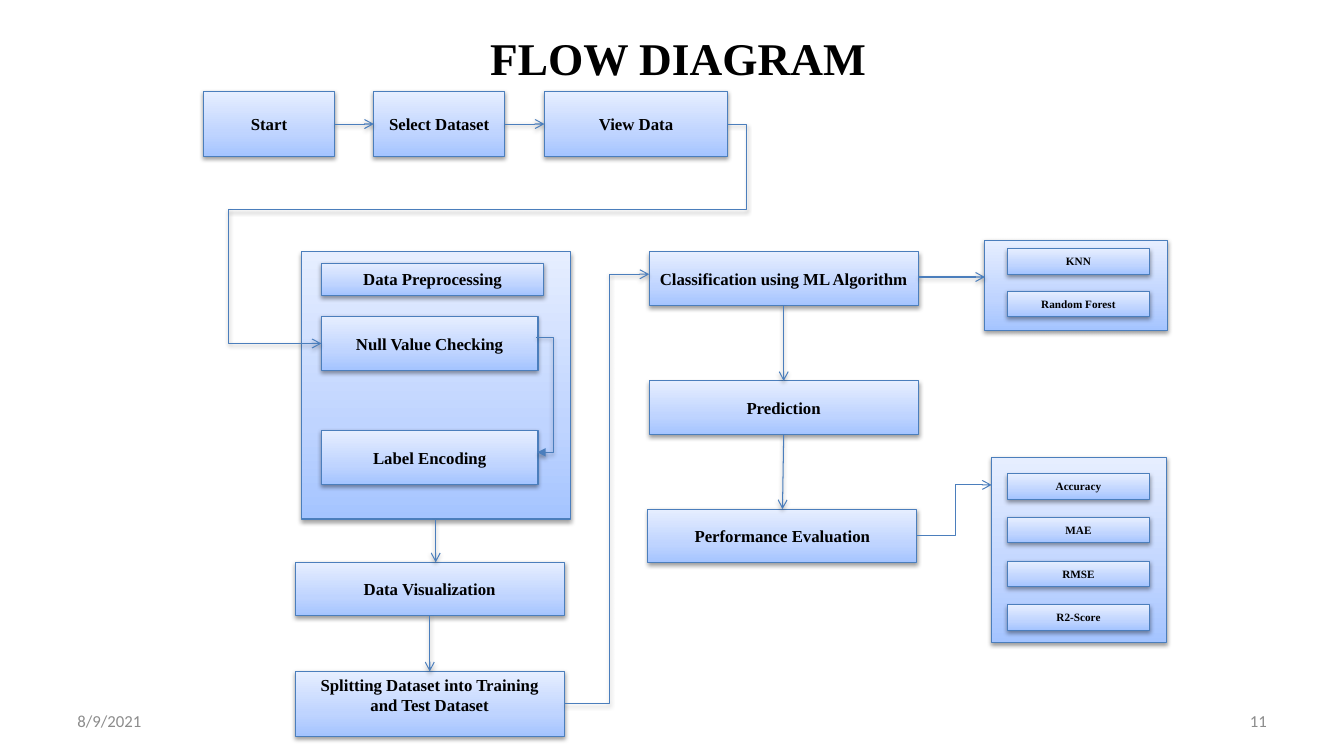
from dataclasses import dataclass
from typing import Optional, Union

from lxml.etree import SubElement
from pptx import Presentation
from pptx.dml.color import RGBColor
from pptx.enum.shapes import MSO_CONNECTOR as Link, MSO_SHAPE as Preset
from pptx.enum.text import MSO_ANCHOR as Anchor, PP_ALIGN as Align
from pptx.oxml.ns import qn
from pptx.shapes.autoshape import Shape
from pptx.shapes.connector import Connector
from pptx.slide import Slide
from pptx.text.text import TextFrame
from pptx.util import Cm, Pt

SERIF = "Times New Roman"
SANS = "Calibri"
EDGE = "4B7EBC"
BLACK = "000000"
GREY = "8C8C8C"
GRADIENT = ((0, "A4C4FF"), (35, "BFD4FF"), (100, "E6EEFF"))
TOP, LEFT, BOTTOM, RIGHT = range(4)


@dataclass(frozen=True)
class Caption:
    text: str
    left: float
    top: float
    width: float
    height: float
    size: float
    font: str
    color: str
    align: Align
    bold: bool = False


@dataclass(frozen=True)
class Box:
    text: str
    left: float
    top: float
    width: float
    height: float
    size: float = 12
    anchor: Anchor = Anchor.MIDDLE


@dataclass(frozen=True)
class Point:
    x: float
    y: float


@dataclass(frozen=True)
class Side:
    step: str
    site: int


@dataclass(frozen=True)
class Flow:
    start: Union[Point, Side]
    end: Union[Point, Side]
    bend: Optional[float] = None
    head: Optional[str] = "arrow"
    shadow: bool = True


CAPTIONS = (
    Caption("FLOW DIAGRAM", 3.12, 0.56, 27.94, 1.75, 32.4, SERIF, BLACK, Align.CENTER, True),
    Caption("8/9/2021", 1.7, 17.65, 7.9, 1.02, 12, SANS, GREY, Align.LEFT),
    Caption("11", 24.28, 17.65, 7.9, 1.02, 12, SANS, GREY, Align.RIGHT),
)

PANELS = (
    Box("", 24.99, 11.53, 4.42, 4.67),
    Box("", 24.82, 6.05, 4.6, 2.29),
)

STEPS = (
    Box("Start", 5.13, 2.31, 3.3, 1.63),
    Box("Select Dataset", 9.42, 2.31, 3.3, 1.63),
    Box("View Data", 13.72, 2.31, 4.62, 1.63),
    Box("Data Preprocessing", 8.1, 6.63, 5.61, 0.81),
    Box("Null Value Checking", 8.1, 7.98, 5.46, 1.35),
    Box("Label Encoding", 8.1, 10.85, 5.46, 1.35),
    Box("Data Visualization", 7.44, 14.17, 6.78, 1.35),
    Box("Splitting Dataset into Training and Test Dataset",
        7.44, 16.92, 6.78, 1.63, anchor=Anchor.TOP),
    Box("Classification using ML Algorithm", 16.36, 6.35, 6.78, 1.35),
    Box("Prediction", 16.36, 9.6, 6.78, 1.35),
    Box("Performance Evaluation", 16.33, 12.83, 6.78, 1.35),
)
PREPROCESSING = Box("", 7.59, 6.35, 6.78, 6.73)

CHIP_GROUPS = (
    (6.27, 1.07, ("KNN", "Random Forest")),
    (11.94, 1.1, ("Accuracy", "MAE", "RMSE", "R2-Score")),
)

SPLITTING = "Splitting Dataset into Training and Test Dataset"
CLASSIFYING = "Classification using ML Algorithm"
TURN_LEFT = Point(5.79, 5.28)
TURN_UP = Point(15.37, 6.91)

FLOWS = (
    Flow(Side("Start", RIGHT), Side("Select Dataset", LEFT)),
    Flow(Side("Select Dataset", RIGHT), Side("View Data", LEFT)),
    Flow(Side("View Data", RIGHT), TURN_LEFT, bend=18.82, head=None),
    Flow(TURN_LEFT, Side("Null Value Checking", LEFT), bend=5.77),
    Flow(Point(13.51, 8.51), Point(13.54, 11.4), bend=13.94, head="triangle"),
    Flow(Side("", BOTTOM), Point(10.98, 14.17)),
    Flow(Side("Data Visualization", BOTTOM), Side(SPLITTING, TOP)),
    Flow(Side(SPLITTING, RIGHT), TURN_UP, bend=TURN_UP.x, head=None),
    Flow(TURN_UP, Point(16.36, 6.91)),
    Flow(Side(CLASSIFYING, BOTTOM), Side("Prediction", TOP)),
    Flow(Side("Prediction", BOTTOM), Side("Performance Evaluation", TOP)),
    Flow(Point(23.14, 6.98), Point(24.82, 6.98)),
    Flow(Side("Performance Evaluation", RIGHT), Point(24.99, 12.22), bend=24.08, shadow=False),
)


def rgb(value: str) -> RGBColor:
    return RGBColor.from_string(value)


def write(frame: TextFrame, text: str, size: float, font: str, color: str,
          align: Align, bold: bool) -> None:
    frame.word_wrap = True
    paragraph = frame.paragraphs[0]
    paragraph.alignment = align
    run = paragraph.add_run()
    run.text = text
    run.font.size = Pt(size)
    run.font.name = font
    run.font.bold = bold
    run.font.color.rgb = rgb(color)


def add_shadow(effects) -> None:
    shade = SubElement(effects, qn("a:outerShdw"), blurRad="40000", dist="20000",
                       dir="5400000", rotWithShape="0")
    black = SubElement(shade, qn("a:srgbClr"), val=BLACK)
    SubElement(black, qn("a:alpha"), val="38000")


def fill_gradient(shape: Shape) -> None:
    shape.fill.gradient()
    gradient = shape.element.spPr.find(qn("a:gradFill"))
    for part in list(gradient):
        gradient.remove(part)
    stops = SubElement(gradient, qn("a:gsLst"))
    for percent, color in GRADIENT:
        stop = SubElement(stops, qn("a:gs"), pos=str(percent * 1000))
        SubElement(stop, qn("a:srgbClr"), val=color)
    SubElement(gradient, qn("a:lin"), ang="16200000", scaled="0")


def draw_caption(slide: Slide, caption: Caption) -> None:
    area = slide.shapes.add_textbox(Cm(caption.left), Cm(caption.top),
                                    Cm(caption.width), Cm(caption.height))
    area.text_frame.vertical_anchor = Anchor.MIDDLE
    write(area.text_frame, caption.text, caption.size, caption.font,
          caption.color, caption.align, caption.bold)


def draw_box(slide: Slide, box: Box) -> Shape:
    shape = slide.shapes.add_shape(Preset.RECTANGLE, Cm(box.left), Cm(box.top),
                                   Cm(box.width), Cm(box.height))
    fill_gradient(shape)
    shape.line.color.rgb = rgb(EDGE)
    shape.line.width = Pt(0.75)
    shape.shadow.inherit = False
    add_shadow(shape.element.spPr.find(qn("a:effectLst")))
    if box.text:
        frame = shape.text_frame
        frame.vertical_anchor = box.anchor
        if box.anchor == Anchor.TOP:
            frame.margin_top = Cm(0.08)
        else:
            frame.margin_left = frame.margin_right = Cm(0.2)
        write(frame, box.text, box.size, SERIF, BLACK, Align.CENTER, True)
    return shape


def draw_flow(slide: Slide, flow: Flow, steps: dict[str, Shape]) -> Connector:
    kind = Link.STRAIGHT if flow.bend is None else Link.ELBOW
    start, end = (p if isinstance(p, Point) else Point(0, 0) for p in (flow.start, flow.end))
    link = slide.shapes.add_connector(kind, Cm(start.x), Cm(start.y), Cm(end.x), Cm(end.y))
    if isinstance(flow.start, Side):
        link.begin_connect(steps[flow.start.step], flow.start.site)
    if isinstance(flow.end, Side):
        link.end_connect(steps[flow.end.step], flow.end.site)
    link.line.color.rgb = rgb(EDGE)
    link.line.width = Pt(0.75)
    properties = link.element.spPr
    if flow.bend is not None:
        ratio = (Cm(flow.bend) - link.begin_x) / (link.end_x - link.begin_x)
        guides = properties.find(qn("a:prstGeom")).find(qn("a:avLst"))
        SubElement(guides, qn("a:gd"), name="adj1", fmla=f"val {round(ratio * 100000)}")
    if flow.head:
        SubElement(properties.find(qn("a:ln")), qn("a:tailEnd"), type=flow.head)
    effects = SubElement(properties, qn("a:effectLst"))
    if flow.shadow:
        add_shadow(effects)
    return link


def main() -> None:
    deck = Presentation()
    deck.slide_width, deck.slide_height = Cm(33.87), Cm(19.05)
    slide = deck.slides.add_slide(deck.slide_layouts[6])
    for caption in CAPTIONS:
        draw_caption(slide, caption)
    for panel in PANELS:
        draw_box(slide, panel)
    steps = {box.text: draw_box(slide, box) for box in (PREPROCESSING, *STEPS)}
    for top, pitch, labels in CHIP_GROUPS:
        for row, label in enumerate(labels):
            draw_box(slide, Box(label, 25.4, top + row * pitch, 3.56, 0.64, size=8))
    for flow in FLOWS:
        draw_flow(slide, flow, steps)
    deck.save("out.pptx")


if __name__ == "__main__":
    main()
